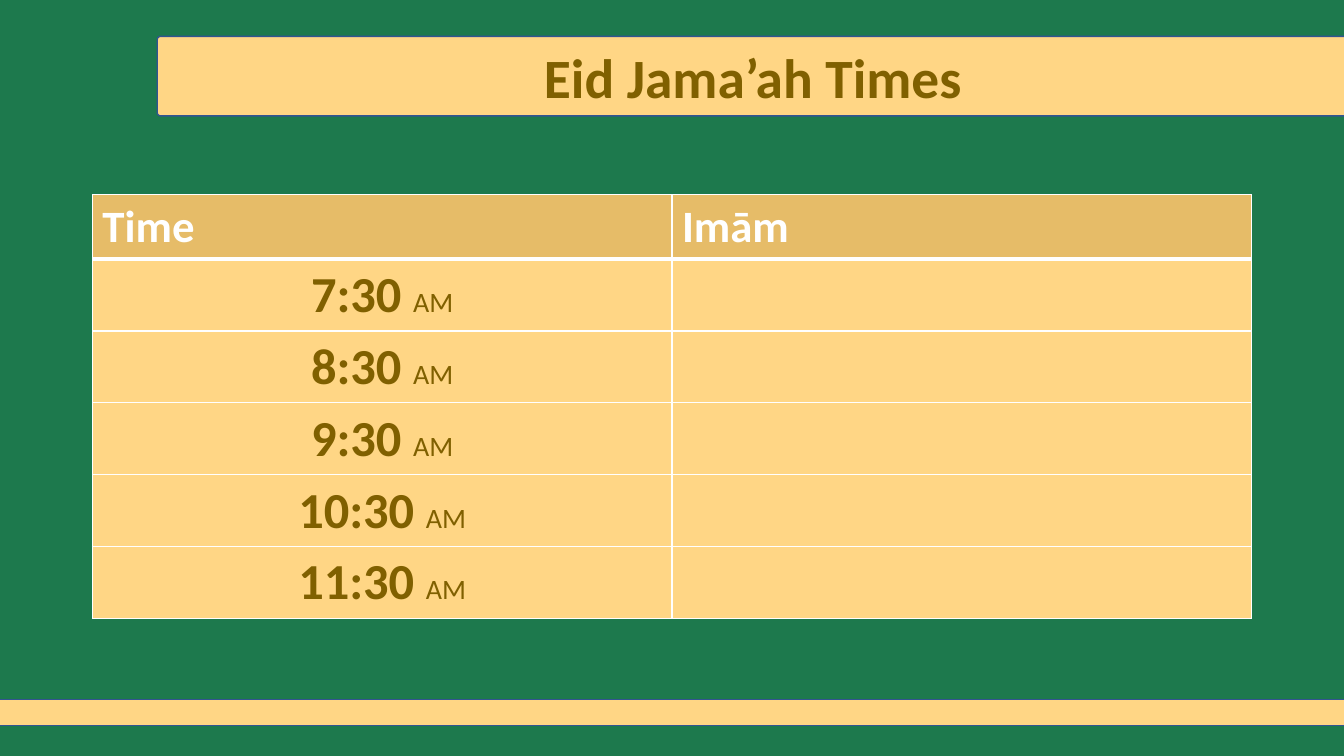
from dataclasses import dataclass

from lxml import etree
from pptx import Presentation
from pptx.dml.color import RGBColor
from pptx.enum import shapes, text
from pptx.oxml.ns import qn
from pptx.util import Pt


@dataclass(frozen=True)
class Theme:
    font: str = "Calibri"
    green: str = "1D794D"
    sand: str = "FFD685"
    gold: str = "E6BC68"
    brown: str = "806000"
    white: str = "FFFFFF"
    outline: str = "325491"
    title_size: float = 39.6
    header_size: int = 32
    time_size: int = 36
    period_size: int = 20


theme = Theme()


def style_run(run, size, color, bold=True):
    run.font.name = theme.font
    run.font.size = Pt(size)
    run.font.bold = bold
    run.font.color.rgb = RGBColor.from_string(color)


def style_cell(cell, fill, bottom_width=1):
    cell.fill.solid()
    cell.fill.fore_color.rgb = RGBColor.from_string(fill)
    cell.vertical_anchor = text.MSO_ANCHOR.MIDDLE
    properties = cell._tc.get_or_add_tcPr()
    widths = {"a:lnL": 1, "a:lnR": 1, "a:lnT": 1, "a:lnB": bottom_width}
    for position, (side, width) in enumerate(widths.items()):
        border = etree.Element(qn(side), w=str(Pt(width)))
        color = etree.SubElement(border, qn("a:solidFill"))
        etree.SubElement(color, qn("a:srgbClr"), val=theme.white)
        properties.insert(position, border)


prs = Presentation()
prs.slide_width, prs.slide_height = Pt(960), Pt(540)
slide = prs.slides.add_slide(prs.slide_layouts[6])
slide.background.fill.solid()
slide.background.fill.fore_color.rgb = RGBColor.from_string(theme.green)

bands = [
    (shapes.MSO_SHAPE.ROUNDED_RECTANGLE, 112.3, 26, 867.6, 56.8),
    (shapes.MSO_SHAPE.RECTANGLE, -12, 499.7, 984, 18.5),
]
for kind, left, top, width, height in bands:
    band = slide.shapes.add_shape(kind, Pt(left), Pt(top), Pt(width), Pt(height))
    band.shadow.inherit = False
    band.fill.solid()
    band.fill.fore_color.rgb = RGBColor.from_string(theme.sand)
    band.line.color.rgb = RGBColor.from_string(theme.outline)
    band.line.width = Pt(1)
    if kind == shapes.MSO_SHAPE.ROUNDED_RECTANGLE:
        band.adjustments[0] = 0.04

title = slide.shapes.add_textbox(Pt(116.6), Pt(32.4), Pt(842.4), Pt(50.4))
title.text_frame.word_wrap = True
title.text_frame.vertical_anchor = text.MSO_ANCHOR.MIDDLE
title.text_frame.text = "Eid Jama’ah Times"
heading = title.text_frame.paragraphs[0]
heading.alignment = text.PP_ALIGN.CENTER
heading.line_spacing = 0.9
style_run(heading.runs[0], theme.title_size, theme.brown)

headers = ["Time", "Imām"]
times = ["7:30", "8:30", "9:30", "10:30", "11:30"]
header_height, row_height = 46, 51.4
schedule = slide.shapes.add_table(
    len(times) + 1, len(headers), Pt(66), Pt(139),
    Pt(828), Pt(header_height + row_height * len(times)),
).table
schedule.horz_banding = False
schedule.rows[0].height = Pt(header_height)

for cell, label in zip(schedule.rows[0].cells, headers):
    style_cell(cell, theme.gold, bottom_width=3)
    cell.text_frame.text = label
    style_run(cell.text_frame.paragraphs[0].runs[0], theme.header_size, theme.white)

for number, time in enumerate(times, start=1):
    row = schedule.rows[number]
    row.height = Pt(row_height)
    for cell in row.cells:
        style_cell(cell, theme.sand)
    for cell in row.cells:
        cell.vertical_anchor = text.MSO_ANCHOR.MIDDLE
    entry = schedule.cell(number, 0).text_frame.paragraphs[0]
    entry.alignment = text.PP_ALIGN.CENTER
    for part, size, bold in [
        (f"{time} ", theme.time_size, True),
        ("AM", theme.period_size, False),
    ]:
        run = entry.add_run()
        run.text = part
        style_run(run, size, theme.brown, bold)

for cell in schedule.rows[1].cells:
    top_border = cell._tc.tcPr.find(qn("a:lnT"))
    top_border.set("w", str(Pt(3)))

prs.save("out.pptx")
